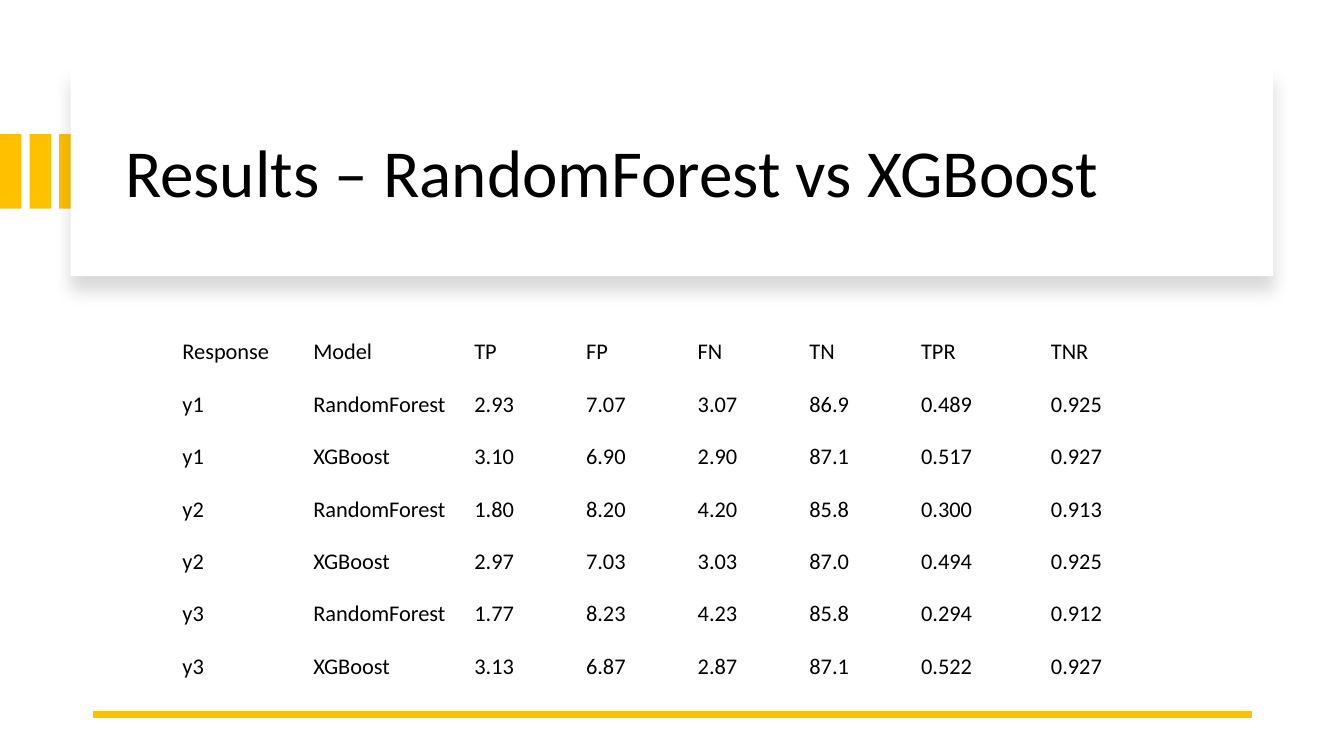
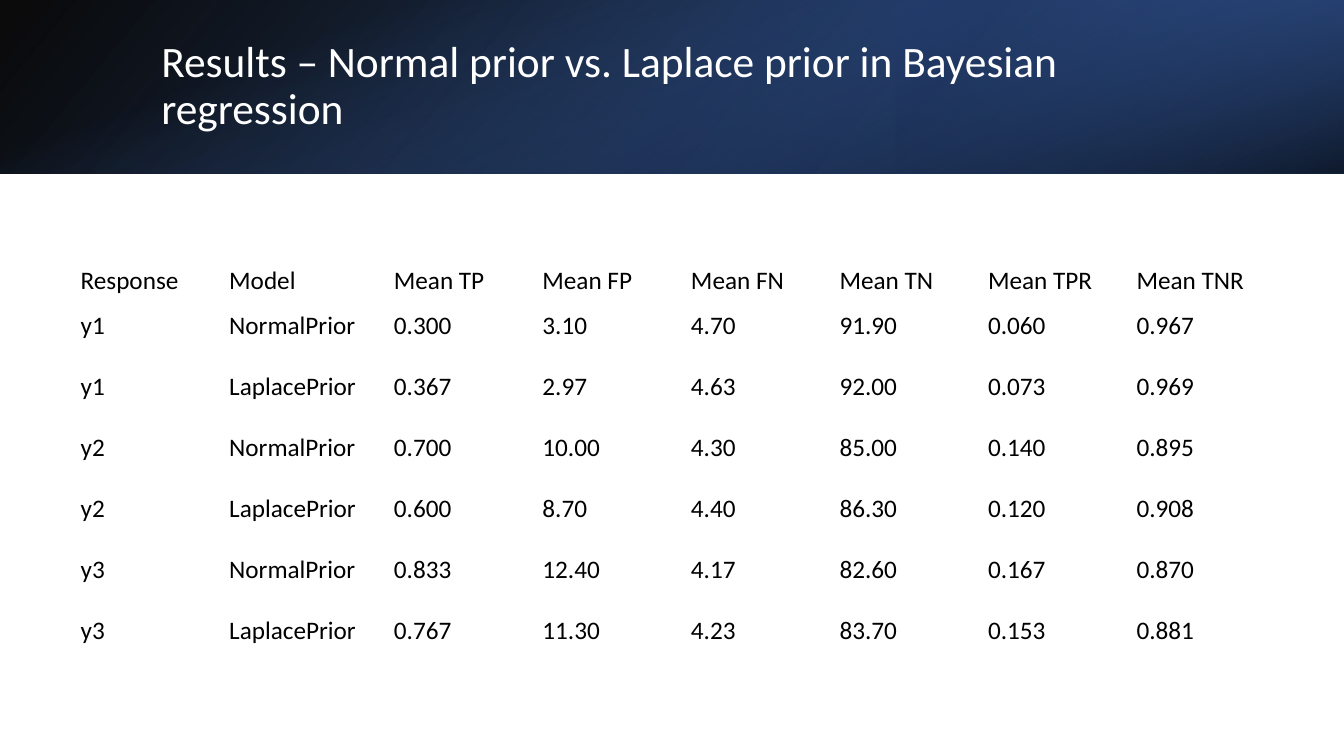
from dataclasses import dataclass

from lxml import etree
from pptx import Presentation
from pptx import util as u
from pptx.dml.color import RGBColor
from pptx.enum import shapes, text
from pptx.oxml.ns import qn

FONT = "Calibri"
BLACK = RGBColor(0x00, 0x00, 0x00)
WHITE = RGBColor(0xFF, 0xFF, 0xFF)
GOLD = RGBColor(0xFF, 0xC0, 0x00)
NAVY = RGBColor(0x20, 0x38, 0x64)
BLUE = RGBColor(0x44, 0x72, 0xC4)
DEEP_BLUE = RGBColor(0x2F, 0x55, 0x97)

FOREST_ROWS = [
    "Response Model TP FP FN TN TPR TNR".split(),
    "y1 RandomForest 2.93 7.07 3.07 86.9 0.489 0.925".split(),
    "y1 XGBoost 3.10 6.90 2.90 87.1 0.517 0.927".split(),
    "y2 RandomForest 1.80 8.20 4.20 85.8 0.300 0.913".split(),
    "y2 XGBoost 2.97 7.03 3.03 87.0 0.494 0.925".split(),
    "y3 RandomForest 1.77 8.23 4.23 85.8 0.294 0.912".split(),
    "y3 XGBoost 3.13 6.87 2.87 87.1 0.522 0.927".split(),
]
PRIOR_ROWS = [
    ["Response", "Model"] + [f"Mean {name}" for name in FOREST_ROWS[0][2:]],
    "y1 NormalPrior 0.300 3.10 4.70 91.90 0.060 0.967".split(),
    "y1 LaplacePrior 0.367 2.97 4.63 92.00 0.073 0.969".split(),
    "y2 NormalPrior 0.700 10.00 4.30 85.00 0.140 0.895".split(),
    "y2 LaplacePrior 0.600 8.70 4.40 86.30 0.120 0.908".split(),
    "y3 NormalPrior 0.833 12.40 4.17 82.60 0.167 0.870".split(),
    "y3 LaplacePrior 0.767 11.30 4.23 83.70 0.153 0.881".split(),
]


@dataclass
class Box:
    left: int
    top: int
    width: int
    height: int

    def area(self, left, top, width, height):
        return Box(
            round(self.left + self.width * left / 100),
            round(self.top + self.height * top / 100),
            round(self.width * width / 100),
            round(self.height * height / 100),
        )

    def turned(self):
        shift = (self.width - self.height) // 2
        return Box(self.left + shift, self.top - shift, self.height, self.width)

    def edges(self):
        return self.left, self.top, self.width, self.height


def add_rectangle(page, box):
    shape = page.shapes.add_shape(shapes.MSO_SHAPE.RECTANGLE, *box.edges())
    shape.shadow.inherit = False
    shape.line.fill.background()
    return shape


def add_solid(page, box, color):
    shape = add_rectangle(page, box)
    shape.fill.solid()
    shape.fill.fore_color.rgb = color
    return shape


def set_alpha(color_element, percent):
    etree.SubElement(color_element, qn("a:alpha"), val=str(percent * 1000))


def add_gradient(page, box, angle, stops, turn=0, flip=False):
    shape = add_rectangle(page, box)
    shape.rotation = turn
    shape.fill.gradient()
    shape.fill.gradient_angle = 360 - angle
    properties = shape._element.spPr
    for stop, (position, color, _) in zip(shape.fill.gradient_stops, stops):
        stop.position = position
        stop.color.rgb = color
    for element, (_, _, alpha) in zip(properties.iter(qn("a:srgbClr")), stops):
        set_alpha(element, alpha)
    if flip:
        properties.find(qn("a:xfrm")).set("flipH", "1")


def add_card_shadow(shape):
    effects = shape._element.spPr.find(qn("a:effectLst"))
    shadow = etree.SubElement(
        effects, qn("a:outerShdw"), blurRad=str(u.Pt(11)), dist=str(u.Pt(10)),
        dir=str(90 * 60000), algn="t", rotWithShape="0")
    set_alpha(etree.SubElement(shadow, qn("a:srgbClr"), val=str(BLACK)), 15)


def place_title(page, box, words, size, color):
    title = page.shapes.title
    page.shapes._spTree.append(title._element)
    title.left, title.top, title.width, title.height = box.edges()
    frame = title.text_frame
    frame.text = words
    frame.word_wrap = True
    frame.auto_size = text.MSO_AUTO_SIZE.NONE
    frame.vertical_anchor = text.MSO_ANCHOR.MIDDLE
    para = frame.paragraphs[0]
    para.alignment = text.PP_ALIGN.LEFT
    para.line_spacing = 0.9
    style_font(para.font, size, color)


def style_font(font, size, color):
    font.name, font.size, font.bold = FONT, u.Pt(size), False
    font.color.rgb = color


def card_header(page, box, words):
    for index in range(3):
        add_solid(page, box.area(2.2 * index, 31.9, 1.6, 35.75), GOLD)
    add_card_shadow(add_solid(page, box.area(5.25, 0, 89.47, 100), WHITE))
    place_title(page, box.area(8.55, 10.63, 83.48, 82.1), words, 48, BLACK)


def gradient_header(page, box, words):
    add_gradient(page, box, 140, [(0, BLACK, 96), (1, DEEP_BLUE, 100)], flip=True)
    add_gradient(page, box.area(66.67, 0, 33.33, 100), 320,
                 [(0.19, NAVY, 68), (1, BLUE, 79)], turn=180, flip=True)
    add_gradient(page, box.turned(), 340,
                 [(0.23, BLUE, 0), (0.99, BLACK, 74)], turn=90)
    place_title(page, box.area(11.25, 22.09, 81.75, 55.8), words, 31, WHITE)


def bottom_rule(page, box):
    line = page.shapes.add_connector(
        shapes.MSO_CONNECTOR.STRAIGHT,
        box.left + box.width, box.top, box.left, box.top)
    line.line.color.rgb = GOLD
    line.line.width = u.Pt(4.5)
    etree.SubElement(line._element.spPr, qn("a:effectLst"))


def results_table(page, box, rows, column_shares, row_shares, size, inset):
    table = page.shapes.add_table(len(rows), len(rows[0]), *box.edges()).table
    table.first_row = table.horz_banding = False
    for column, share in zip(table.columns, column_shares):
        column.width = round(box.width * share / sum(column_shares))
    for row, share, values in zip(table.rows, row_shares, rows):
        row.height = round(box.height * share / sum(row_shares))
        for cell, value in zip(row.cells, values):
            cell.fill.background()
            cell.vertical_anchor = text.MSO_ANCHOR.MIDDLE
            cell.margin_left = cell.margin_right = inset
            cell.margin_top = cell.margin_bottom = inset // 2
            cell.text = value
            style_font(cell.text_frame.paragraphs[0].font, size, BLACK)


def forest_slide(page, box):
    card_header(page, box.area(0, 8.93, 100, 27.6),
                "Results – RandomForest vs XGBoost")
    bottom_rule(page, box.area(6.9, 94.53, 86.25, 0))
    results_table(page, box.area(12.9, 44, 74.3, 46.8), FOREST_ROWS,
                  [1.3, 1.6] + [1.11] * 4 + [1.29] * 2,
                  [0.39] + [0.65, 0.39] * 3, 16, u.Inches(0.09))


def prior_slide(page, box):
    gradient_header(page, box.area(0, 0, 100, 22.93),
                    "Results – Normal prior vs. Laplace prior in Bayesian regression")
    results_table(page, box.area(5.25, 34.13, 89.62, 54.4), PRIOR_ROWS,
                  [1.47, 1.63] + [1.47] * 6,
                  [0.45] + [0.45, 0.76] * 3, 18, u.Inches(0.1))


def main():
    deck = Presentation()
    deck.slide_width, deck.slide_height = u.Inches(13.33), u.Inches(7.5)
    whole = Box(0, 0, deck.slide_width, deck.slide_height)
    title_only = deck.slide_layouts.get_by_name("Title Only")
    for build in (forest_slide, prior_slide):
        build(deck.slides.add_slide(title_only), whole)
    deck.save("out.pptx")


if __name__ == "__main__":
    main()
